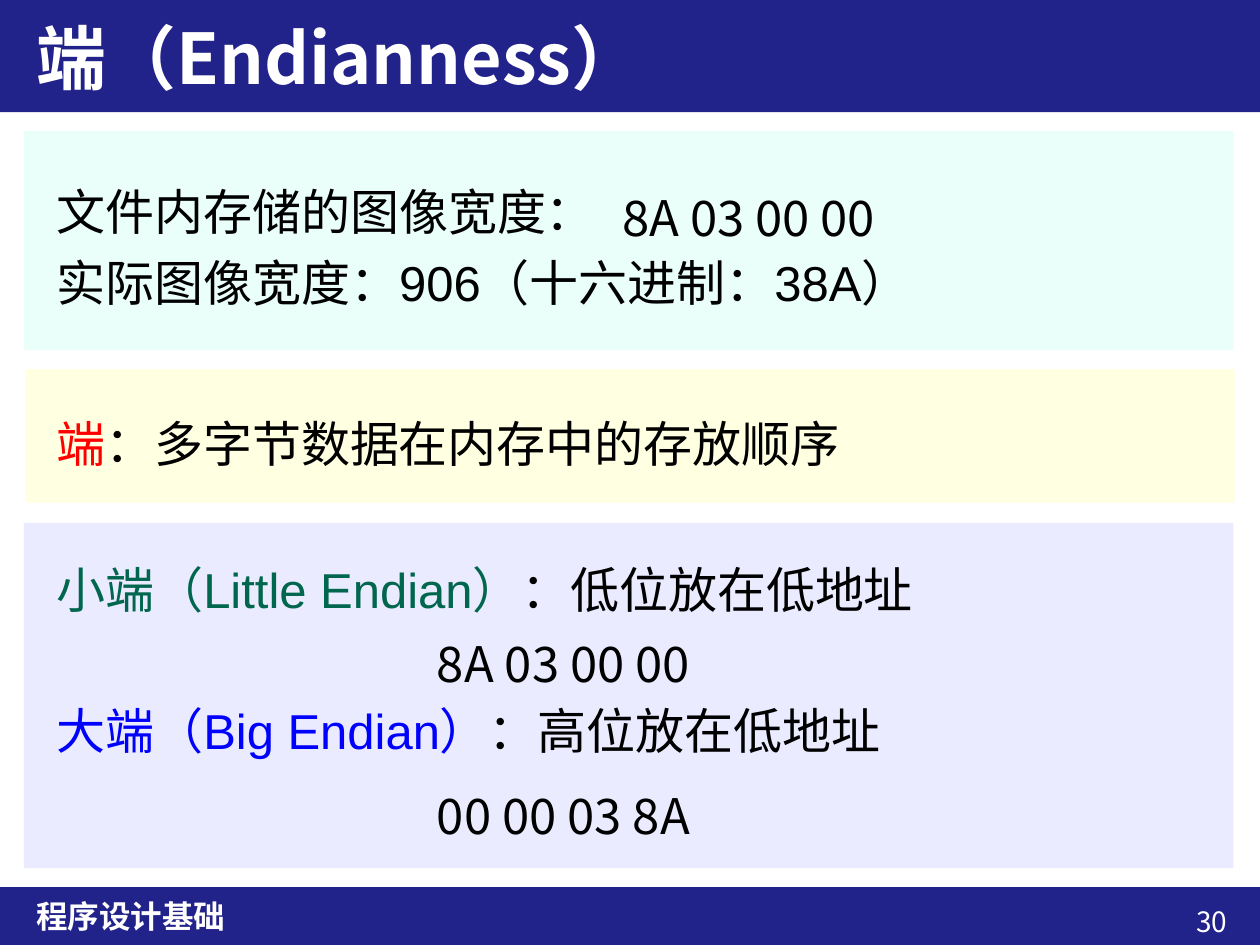
from dataclasses import dataclass

from lxml.etree import SubElement
from pptx import Presentation
from pptx.dml.color import RGBColor
from pptx.enum.shapes import MSO_SHAPE as Shape
from pptx.enum.text import MSO_ANCHOR as Anchor, MSO_AUTO_SIZE as AutoSize, PP_ALIGN as Align
from pptx.oxml.ns import qn
from pptx.util import Inches, Pt

NAVY = RGBColor(0x22, 0x22, 0x8B)
LAVENDER = RGBColor(0xEB, 0xEB, 0xFF)
CREAM = RGBColor(0xFF, 0xFF, 0xE1)
MINT = RGBColor(0xEB, 0xFF, 0xFA)
WHITE = RGBColor(0xFF, 0xFF, 0xFF)
BLACK = RGBColor(0, 0, 0)
RED = RGBColor(0xFF, 0, 0)
GREEN = RGBColor(0, 0x66, 0x4D)
BLUE = RGBColor(0, 0, 0xFF)
LATIN_FONT = "Arial"
CJK_FONT = "Noto Sans CJK SC"


@dataclass(frozen=True)
class Area:
    left: float
    top: float
    width: float
    height: float

    def lengths(self) -> tuple:
        return tuple(Inches(n) for n in (self.left, self.top, self.width, self.height))


@dataclass(frozen=True)
class Panel:
    area: Area
    fill: RGBColor


@dataclass(frozen=True)
class ByteRow:
    text: str
    left: float
    top: float


PANELS = [
    Panel(Area(-0.01, 7.04, 10.01, 0.46), NAVY),
    Panel(Area(-0.01, 0, 10.01, 0.89), NAVY),
    Panel(Area(0.19, 4.15, 9.6, 2.74), LAVENDER),
    Panel(Area(0.2, 2.93, 9.6, 1.06), CREAM),
    Panel(Area(0.19, 1.04, 9.6, 1.74), MINT),
]
BYTE_ROWS = [
    ByteRow("8A 03 00 00", 3.37, 4.93),
    ByteRow("00 00 03 8A", 3.37, 6.14),
    ByteRow("8A 03 00 00", 4.84, 1.39),
]


def draw_panel(page, panel: Panel) -> None:
    box = page.shapes.add_shape(Shape.RECTANGLE, *panel.area.lengths())
    box.shadow.inherit = False
    box.fill.solid()
    box.fill.fore_color.rgb = panel.fill
    box.line.fill.background()


def prepare(box, area: Area, anchor=Anchor.MIDDLE):
    box.left, box.top, box.width, box.height = area.lengths()
    frame = box.text_frame
    frame.word_wrap = True
    frame.auto_size = AutoSize.NONE
    frame.vertical_anchor = anchor
    return frame


def add_box(page, area: Area, anchor=Anchor.MIDDLE):
    return prepare(page.shapes.add_textbox(*area.lengths()), area, anchor)


def add_text(para, text: str, *, size=28, font=LATIN_FONT, color=BLACK, bold=False,
             align=Align.LEFT, spacing=1.0, before=0) -> None:
    para.alignment = align
    para.line_spacing = spacing
    para.space_before = Pt(before)
    span = para.add_run()
    span.text = text
    span.font.size = Pt(size)
    span.font.bold = bold
    span.font.name = font
    span.font.color.rgb = color
    SubElement(span.font._element, qn("a:ea"), typeface=CJK_FONT)


def remove_bullet(para) -> None:
    properties = para._p.get_or_add_pPr()
    properties.set("marL", "0")
    properties.set("indent", "0")
    SubElement(properties, qn("a:buNone"))


def main() -> None:
    deck = Presentation()
    deck.slide_width, deck.slide_height = Inches(10), Inches(7.5)
    page = deck.slides.add_slide(deck.slide_layouts[1])
    title, body = page.shapes.title, page.placeholders[1]

    for panel in PANELS:
        draw_panel(page, panel)
    for holder in (title, body):
        page.shapes._spTree.append(holder._element)

    frame = prepare(title, Area(0.19, 0, 9.6, 0.89))
    add_text(frame.paragraphs[0], "端（Endianness）", size=40, font=CJK_FONT, color=WHITE, bold=True)

    frame = prepare(body, Area(0.35, 1.24, 8.59, 1.34))
    widths = ["文件内存储的图像宽度：", "实际图像宽度：906（十六进制：38A）"]
    for index, text in enumerate(widths):
        para = frame.add_paragraph() if index else frame.paragraphs[0]
        remove_bullet(para)
        add_text(para, text, spacing=1.2)

    para = add_box(page, Area(0.35, 3.11, 7.61, 0.71)).paragraphs[0]
    add_text(para, "端", color=RED, spacing=1.2)
    add_text(para, "：多字节数据在内存中的存放顺序", spacing=1.2)

    frame = add_box(page, Area(0.35, 4.3, 7.95, 2.44), Anchor.TOP)
    little, big = frame.paragraphs[0], frame.add_paragraph()
    add_text(little, "小端（Little Endian）", color=GREEN, spacing=1.2)
    add_text(little, "：低位放在低地址", spacing=1.2)
    add_text(big, "大端（Big Endian）", color=BLUE, spacing=1.2, before=40)
    add_text(big, "：高位放在低地址", spacing=1.2, before=40)

    for row in BYTE_ROWS:
        frame = add_box(page, Area(row.left, row.top, 2.56, 0.55), Anchor.TOP)
        add_text(frame.paragraphs[0], row.text, font=CJK_FONT, spacing=1.1)

    footer = add_box(page, Area(0.19, 7.04, 9.6, 0.46))
    add_text(footer.paragraphs[0], "程序设计基础", size=18, font=CJK_FONT, color=WHITE, bold=True)
    number = add_box(page, Area(8.59, 7.13, 1.25, 0.37), Anchor.TOP)
    add_text(number.paragraphs[0], "30", size=16, font=CJK_FONT, color=WHITE, align=Align.RIGHT)

    deck.save("out.pptx")


if __name__ == "__main__":
    main()
